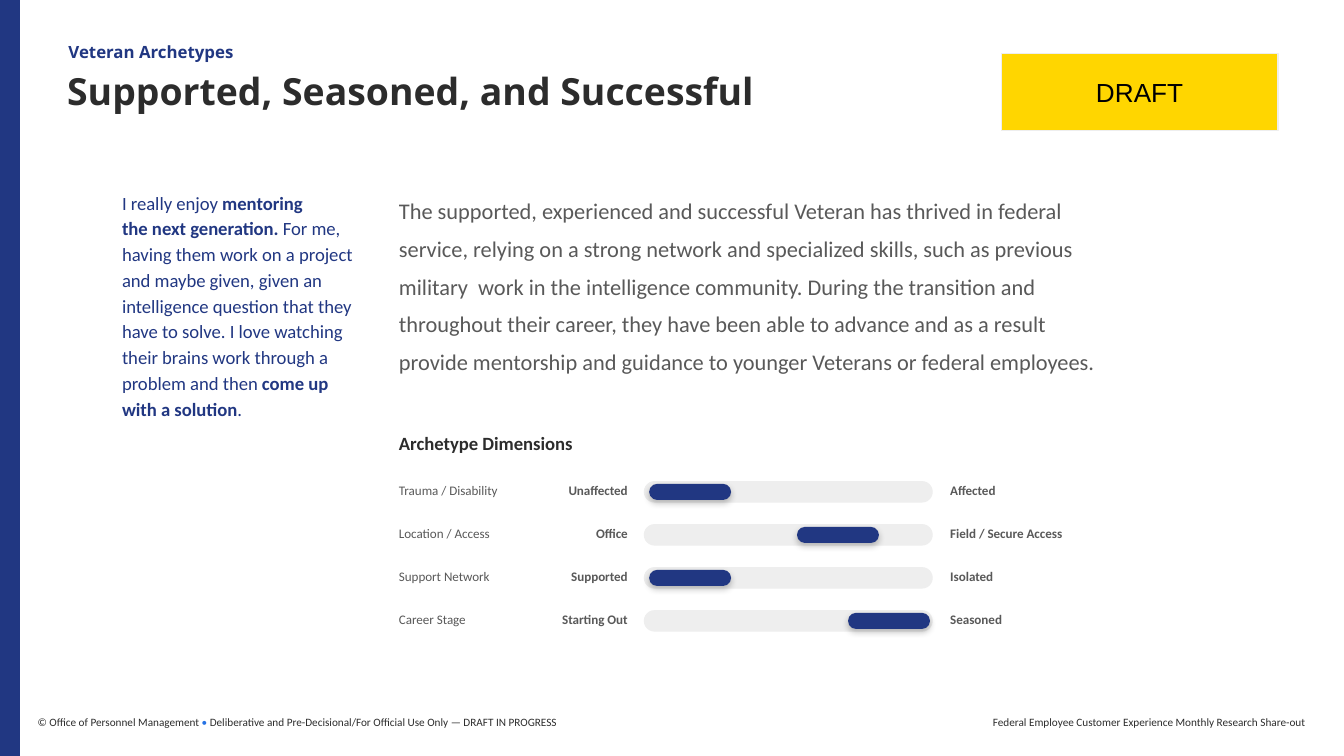
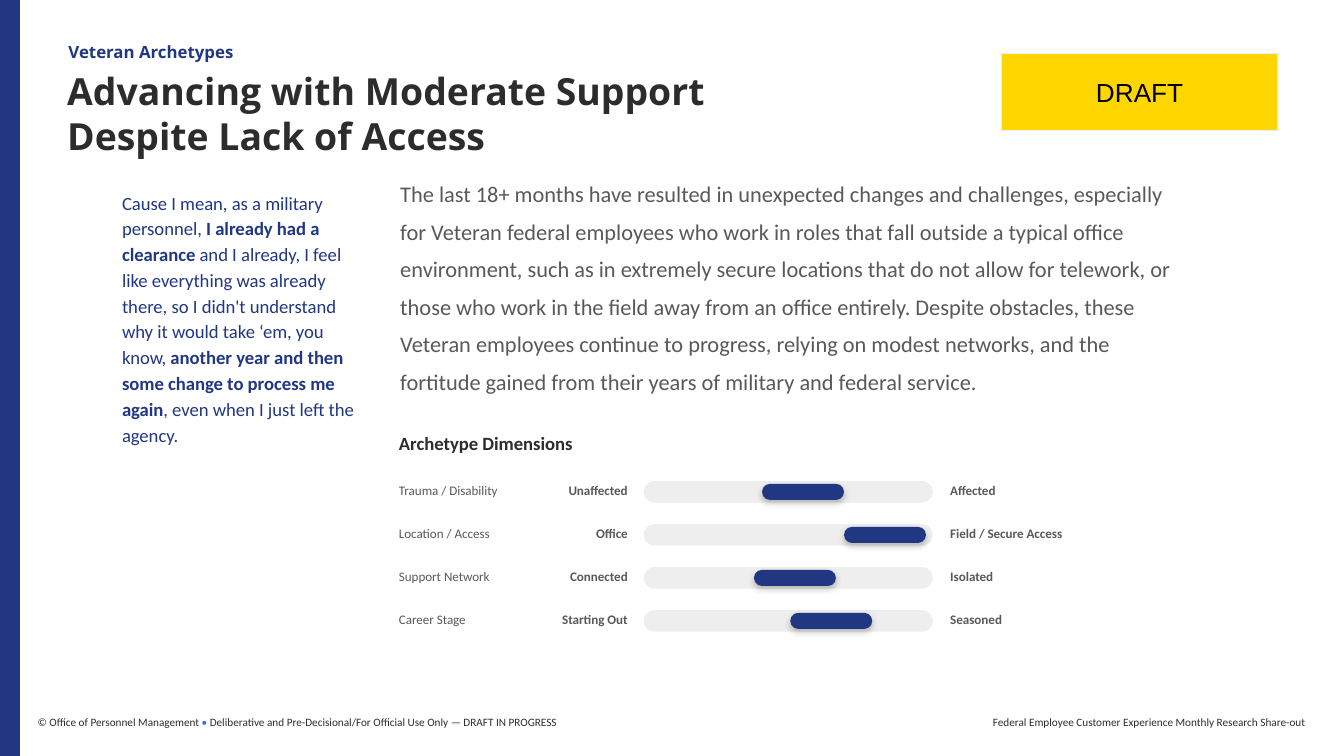
from lxml.etree import SubElement
from pptx import Presentation
from pptx.dml.color import RGBColor
from pptx.enum.shapes import MSO_SHAPE
from pptx.enum.text import MSO_ANCHOR, MSO_AUTO_SIZE, PP_ALIGN
from pptx.oxml.ns import qn
from pptx.util import Inches, Pt

NAVY, INK, GREY, PALE = "213782", "2C2C2C", "595959", "EEEEEE"
WHITE, BLACK, YELLOW, BLUE = "FFFFFF", "000000", "FFD600", "2572E4"

presentation = Presentation()
presentation.slide_width = Inches(10)
presentation.slide_height = Inches(5.625)
COLUMN = presentation.slide_width / 100
ROW = presentation.slide_height / 56.25

TEXT_LEFT, TRACK_LEFT, TRACK_WIDTH = 28.7, 47.9, 21.5
FIRST_ROW, ROW_PITCH = 35.6, 3.2
DIMENSIONS = ["Trauma / Disability", "Location / Access", "Support Network", "Career Stage"]
HIGH_ENDS = ["Affected", "Field / Secure Access", "Isolated", "Seasoned"]

EYEBROW = {"size": 9, "name": "Open Sans", "color": NAVY, "bold": True, "anchor": MSO_ANCHOR.BOTTOM}
TITLE = {"size": 20, "name": "Open Sans", "color": INK, "bold": True, "insets": (0, 0, 0, 1)}
FOOTER = {"size": 6, "color": INK, "anchor": MSO_ANCHOR.MIDDLE, "insets": (0, 1, 0, 1)}
FOOTER_RIGHT = {**FOOTER, "align": PP_ALIGN.RIGHT}
PADDED = {"insets": (1, 1, 1, 1), "grow": True}
DESCRIPTION = {**PADDED, "size": 12, "color": GREY, "line_spacing": 1.4, "space_after": Pt(10)}
QUOTE = {**PADDED, "size": 10, "color": NAVY, "line_spacing": 1.15}
HEADING = {**PADDED, "size": 10, "color": INK, "bold": True}
DIMENSION = {"size": 7, "color": GREY, "insets": (1, 0.3, 1, 0.3), "grow": True}
LOW_END = {**DIMENSION, "bold": True, "align": PP_ALIGN.RIGHT, "insets": (1, 0.3, 1.3, 0.3)}
HIGH_END = {**DIMENSION, "bold": True, "insets": (1.3, 0.3, 1, 0.3)}
DRAFT = {"size": 14, "name": "Arial", "color": BLACK, "align": PP_ALIGN.CENTER,
         "anchor": MSO_ANCHOR.MIDDLE, "insets": (1, 1, 1, 1)}

ARCHETYPES = [
    {
        "title": "Supported, Seasoned, and Successful",
        "description_box": (28.7, 12.9, 55.4, 17.6),
        "description": "The supported, experienced and successful Veteran has thrived in federal service, "
                       "relying on a strong network and specialized skills, such as previous military  work "
                       "in the intelligence community. During the transition and throughout their career, "
                       "they have been able to advance and as a result provide mentorship and guidance to "
                       "younger Veterans or federal employees.",
        "quote": [
            ("I really enjoy ", {}),
            ("mentoring \nthe next generation.", {"bold": True}),
            (" For me, having them work on a project and maybe given, given an intelligence question "
             "that they have to solve. I love watching their brains work through a problem and then ", {}),
            ("come up with a solution", {"bold": True}),
            (".", {}),
        ],
        "low_ends": ["Unaffected", "Office", "Supported", "Starting Out"],
        "knob_offsets": [0.4, 11.4, 0.4, 15.2],
    },
    {
        "title": "Advancing with Moderate Support Despite Lack of Access",
        "description_box": (28.8, 11.6, 59.7, 20.4),
        "description": "The last 18+ months have resulted in unexpected changes and challenges, especially "
                       "for Veteran federal employees who work in roles that fall outside a typical office "
                       "environment, such as in extremely secure locations that do not allow for telework, "
                       "or those who work in the field away from an office entirely. Despite obstacles, "
                       "these Veteran employees continue to progress, relying on modest networks, and the "
                       "fortitude gained from their years of military and federal service.",
        "quote": [
            ("Cause I mean, as a military personnel, ", {}),
            ("I already had a clearance", {"bold": True}),
            (" and I already, I feel like everything was already there, so I didn't understand why it "
             "would take ‘em, you know, ", {}),
            ("another year and then some change to process me again", {"bold": True}),
            (", even when I just left the agency.", {}),
        ],
        "low_ends": ["Unaffected", "Office", "Connected", "Starting Out"],
        "knob_offsets": [8.8, 14.9, 8.2, 10.9],
    },
]


def add_block(slide, box, fill, kind=MSO_SHAPE.RECTANGLE):
    left, top, width, height = box
    shape = slide.shapes.add_shape(kind, int(left * COLUMN), int(top * ROW),
                                   int(width * COLUMN), int(height * ROW))
    shape.shadow.inherit = False
    shape.fill.solid()
    shape.fill.fore_color.rgb = RGBColor.from_string(fill)
    shape.line.fill.background()
    if kind == MSO_SHAPE.ROUNDED_RECTANGLE:
        shape.adjustments[0] = 0.5
    return shape


def add_text(slide, box, runs, style, shape=None):
    left, top, width, height = box
    shape = shape or slide.shapes.add_textbox(int(left * COLUMN), int(top * ROW),
                                              int(width * COLUMN), int(height * ROW))
    frame = shape.text_frame
    frame.word_wrap = True
    frame.auto_size = MSO_AUTO_SIZE.SHAPE_TO_FIT_TEXT if style.get("grow") else MSO_AUTO_SIZE.NONE
    frame.vertical_anchor = style.get("anchor", MSO_ANCHOR.TOP)
    for side, inset in zip(("left", "top", "right", "bottom"), style.get("insets", (0, 0, 0, 0))):
        setattr(frame, f"margin_{side}", int(inset * COLUMN))
    paragraph = frame.paragraphs[0]
    paragraph.alignment = style.get("align", PP_ALIGN.LEFT)
    for name in ("line_spacing", "space_after"):
        if name in style:
            setattr(paragraph, name, style[name])
    for text, changes in [(runs, {})] if isinstance(runs, str) else runs:
        look = {**style, **changes}
        for number, line in enumerate(text.split("\n")):
            if number:
                paragraph.add_line_break()
            run = paragraph.add_run()
            run.text = line
            font = {"size": Pt(look["size"]), "name": look.get("name", "Calibri"),
                    "bold": look.get("bold", False)}
            for name, value in font.items():
                setattr(run.font, name, value)
            run.font.color.rgb = RGBColor.from_string(look["color"])


background = presentation.slide_master.background.fill
background.solid()
background.fore_color.rgb = RGBColor.from_string(NAVY)

for archetype in ARCHETYPES:
    slide = presentation.slides.add_slide(presentation.slide_layouts[6])
    add_block(slide, (1.5, 0, 98.5, 56.25), WHITE)
    add_text(slide, (2.8, 52.3, 45, 2.8), [
        ("© Office of Personnel Management ", {}),
        ("•", {"color": BLUE}),
        (" Deliberative and Pre-Decisional/For Official Use Only — DRAFT IN PROGRESS", {}),
    ], FOOTER)
    add_text(slide, (58.4, 52.3, 38.7, 2.8),
             "Federal Employee Customer Experience Monthly Research Share-out", FOOTER_RIGHT)

    add_text(slide, (5, 5.1, 58, 7.8), archetype["title"], TITLE)
    add_text(slide, (5.1, 2.8, 32, 1.8), "Veteran Archetypes", EYEBROW)
    add_text(slide, archetype["description_box"], archetype["description"], DESCRIPTION)
    add_text(slide, (8.1, 13, 19.4, 21.4), archetype["quote"], QUOTE)
    add_text(slide, (TEXT_LEFT, 31.3, 32.8, 3.7), "Archetype Dimensions", HEADING)

    scales = zip(DIMENSIONS, archetype["low_ends"], HIGH_ENDS, archetype["knob_offsets"])
    for index, (dimension, low_end, high_end, knob_offset) in enumerate(scales):
        top = FIRST_ROW + index * ROW_PITCH
        add_block(slide, (TRACK_LEFT, top + 0.2, TRACK_WIDTH, 1.6), PALE, MSO_SHAPE.ROUNDED_RECTANGLE)
        add_text(slide, (38.5, top, 9.5, 1.8), low_end, LOW_END)
        add_text(slide, (TRACK_LEFT + TRACK_WIDTH, top, 11.8, 1.8), high_end, HIGH_END)
        add_text(slide, (TEXT_LEFT, top, 13.2, 1.8), dimension, DIMENSION)
        knob = add_block(slide, (TRACK_LEFT + knob_offset, top + 0.4, 6.1, 1.2), NAVY,
                         MSO_SHAPE.ROUNDED_RECTANGLE)
        effects = knob.element.spPr.find(qn("a:effectLst"))
        shadow = SubElement(effects, qn("a:outerShdw"), blurRad=str(Pt(3.4)), dist=str(Pt(1.5)),
                            dir="5400000", rotWithShape="0")
        shadow_color = SubElement(shadow, qn("a:srgbClr"), val=BLACK)
        SubElement(shadow_color, qn("a:alpha"), val="24000")

    draft_box = (74.5, 4, 20.6, 5.7)
    draft = add_block(slide, draft_box, YELLOW)
    draft.line.color.rgb = RGBColor.from_string(PALE)
    draft.line.width = Pt(0.75)
    add_text(slide, draft_box, "DRAFT", DRAFT, draft)

presentation.save("out.pptx")
